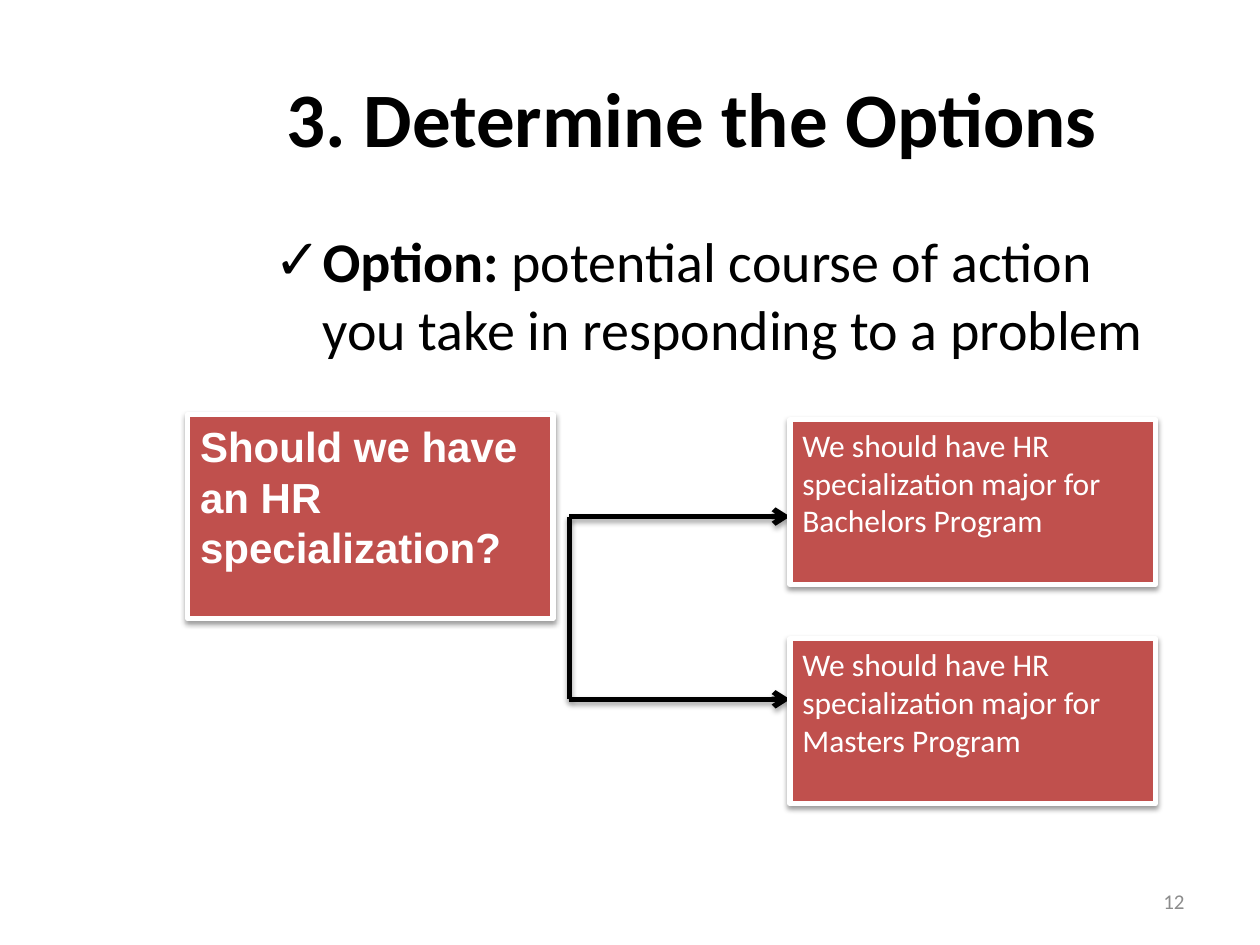
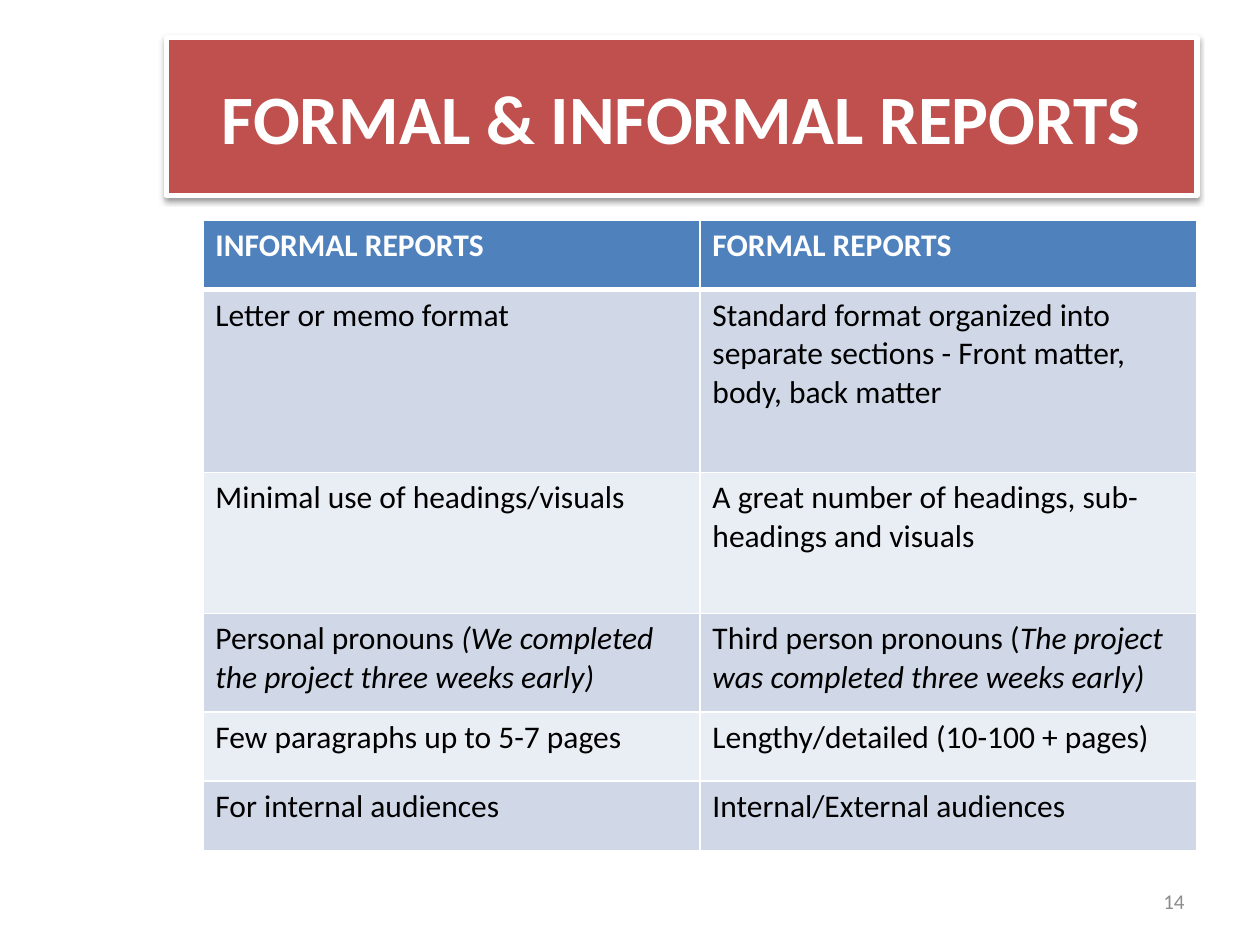
from lxml.etree import SubElement
from pptx import Presentation
from pptx.dml.color import RGBColor
from pptx.enum.shapes import MSO_CONNECTOR, MSO_SHAPE
from pptx.enum.text import MSO_ANCHOR, MSO_AUTO_SIZE, PP_ALIGN
from pptx.oxml import parse_xml
from pptx.oxml.ns import nsdecls, qn
from pptx.util import Inches, Pt

RED, BLUE, WHITE, BLACK, GREY = "C0504D", "4F81BD", "FFFFFF", "000000", "8C8C8C"
BANDS = ["D0D8E8", "E9EDF4"]

OPTION = [("Option:", "b"), (" potential course of action you take in responding to a problem", "")]
ASK = "Should we have an HR specialization?"
PLANS = [
    "We should have HR specialization major for Bachelors Program",
    "We should have HR specialization major for Masters Program",
]
ROWS = [
    (0.55, "INFORMAL REPORTS", "FORMAL REPORTS"),
    (1.45, "Letter or memo format",
     "Standard format organized into separate sections - Front matter, body, back matter"),
    (1.12, "Minimal use of headings/visuals",
     "A great number of headings, sub-headings and visuals"),
    (0.78, [("Personal pronouns ", ""), ("(We completed the project three weeks early)", "i")],
     [("Third person pronouns (", ""), ("The project was completed three weeks early)", "i")]),
    (0.55, "Few paragraphs up to 5-7 pages", "Lengthy/detailed (10-100 + pages)"),
    (0.55, "For internal audiences", "Internal/External audiences"),
]


def paint(part, color):
    part.solid()
    part.fore_color.rgb = RGBColor.from_string(color)


def write(frame, text, size, color=BLACK, style="", font="Calibri", align=None):
    para = frame.paragraphs[0]
    para.alignment = align
    for words, look in [(text, style)] if isinstance(text, str) else text:
        run = para.add_run()
        run.text = words
        run.font.size = Pt(size)
        run.font.name = font
        run.font.bold = "b" in look
        run.font.italic = "i" in look
        run.font.color.rgb = RGBColor.from_string(color)


def place(shape, left, top, width, height):
    shape.left, shape.top = Inches(left), Inches(top)
    shape.width, shape.height = Inches(width), Inches(height)


def shade(shape, alpha, dist):
    props = shape._element.spPr
    for old in props.findall(qn("a:effectLst")):
        props.remove(old)
    props.append(parse_xml(
        f'<a:effectLst {nsdecls("a")}><a:outerShdw blurRad="{Pt(3.1)}" dist="{Pt(dist)}" '
        f'dir="5400000" rotWithShape="0"><a:srgbClr val="{BLACK}">'
        f'<a:alpha val="{alpha * 1000}"/></a:srgbClr></a:outerShdw></a:effectLst>'))


def panel(shape):
    paint(shape.fill, RED)
    paint(shape.line.fill, WHITE)
    shape.line.width = Pt(3)
    shade(shape, 38, 1.6)


def head(slide, text, left, size, color):
    title = slide.shapes.title
    place(title, left, 0.3, 9.5 - left, 1.25)
    frame = title.text_frame
    frame.auto_size = MSO_AUTO_SIZE.NONE
    frame.vertical_anchor = MSO_ANCHOR.MIDDLE
    write(frame, text, size, color, "b", align=PP_ALIGN.CENTER)
    return title


def number(slide, text):
    frame = slide.shapes.add_textbox(Inches(7.17), Inches(6.95), Inches(2.33), Inches(0.4)).text_frame
    frame.word_wrap = True
    frame.vertical_anchor = MSO_ANCHOR.MIDDLE
    write(frame, text, 12, GREY, align=PP_ALIGN.RIGHT)


def box(slide, text, left, top, height, size, **kind):
    spot = [Inches(v) for v in (left, top, 2.9, height)]
    shape = slide.shapes.add_shape(MSO_SHAPE.RECTANGLE, *spot)
    panel(shape)
    frame = shape.text_frame
    frame.word_wrap = True
    frame.vertical_anchor = MSO_ANCHOR.TOP
    write(frame, text, size, WHITE, align=PP_ALIGN.LEFT, **kind)


def link(slide, start, end, arrow=False):
    ends = [Inches(v) for v in start + end]
    line = slide.shapes.add_connector(MSO_CONNECTOR.STRAIGHT, *ends)
    paint(line.line.fill, BLACK)
    line.line.width = Pt(3)
    if arrow:
        SubElement(line.line._get_or_add_ln(), qn("a:tailEnd"), type="arrow")
    shade(line, 35, 1.8)


def edge(cell, first):
    props = cell._tc.get_or_add_tcPr()
    for spot, side in enumerate("LRTB"):
        width = 3 if (first and side == "B") or (first is None and side == "T") else 1
        props.insert(spot, parse_xml(
            f'<a:ln{side} {nsdecls("a")} w="{Pt(width)}"><a:solidFill>'
            f'<a:srgbClr val="{WHITE}"/></a:solidFill></a:ln{side}>'))


def options(deck):
    slide = deck.slides.add_slide(deck.slide_layouts[1])
    head(slide, "3. Determine the Options", 1.49, 44, BLACK)
    body = slide.placeholders[1]
    place(body, 2.08, 1.75, 7.42, 1.46)
    body.text_frame.auto_size = MSO_AUTO_SIZE.NONE
    write(body.text_frame, OPTION, 32)
    props = body.text_frame.paragraphs[0]._p.get_or_add_pPr()
    props.set("marL", str(Inches(0.38)))
    props.set("indent", str(-Inches(0.38)))
    SubElement(props, qn("a:buChar"), char="✓")
    number(slide, "12")

    stem, side, top, gap = 4.52, 6.27, 4.1, 1.45
    box(slide, ASK, 1.49, 3.29, 1.62, 24, style="b", font="Arial")
    for i, plan in enumerate(PLANS):
        level = top + i * gap
        link(slide, (stem, level), (side, level), True)
        box(slide, plan, side, 3.33 + i * 1.74, 1.31, 18)
    link(slide, (stem, top), (stem, top + gap))


def reports(deck):
    slide = deck.slides.add_slide(deck.slide_layouts[5])
    panel(head(slide, "FORMAL & INFORMAL REPORTS", 1.32, 39.6, WHITE))
    spot = [Inches(v) for v in (1.61, 1.75, 7.89, 5)]
    table = slide.shapes.add_table(len(ROWS), 2, *spot).table
    for r, (height, *texts) in enumerate(ROWS):
        table.rows[r].height = Inches(height)
        for c, text in enumerate(texts):
            cell = table.cell(r, c)
            paint(cell.fill, BANDS[(r - 1) % 2] if r else BLUE)
            write(cell.text_frame, text, 18, BLACK if r else WHITE, "" if r else "b")
            edge(cell, None if r == 1 else r == 0)
    number(slide, "14")


def main():
    deck = Presentation()
    deck.slide_width, deck.slide_height = Inches(10), Inches(7.5)
    options(deck)
    reports(deck)
    deck.save("out.pptx")


if __name__ == "__main__":
    main()
